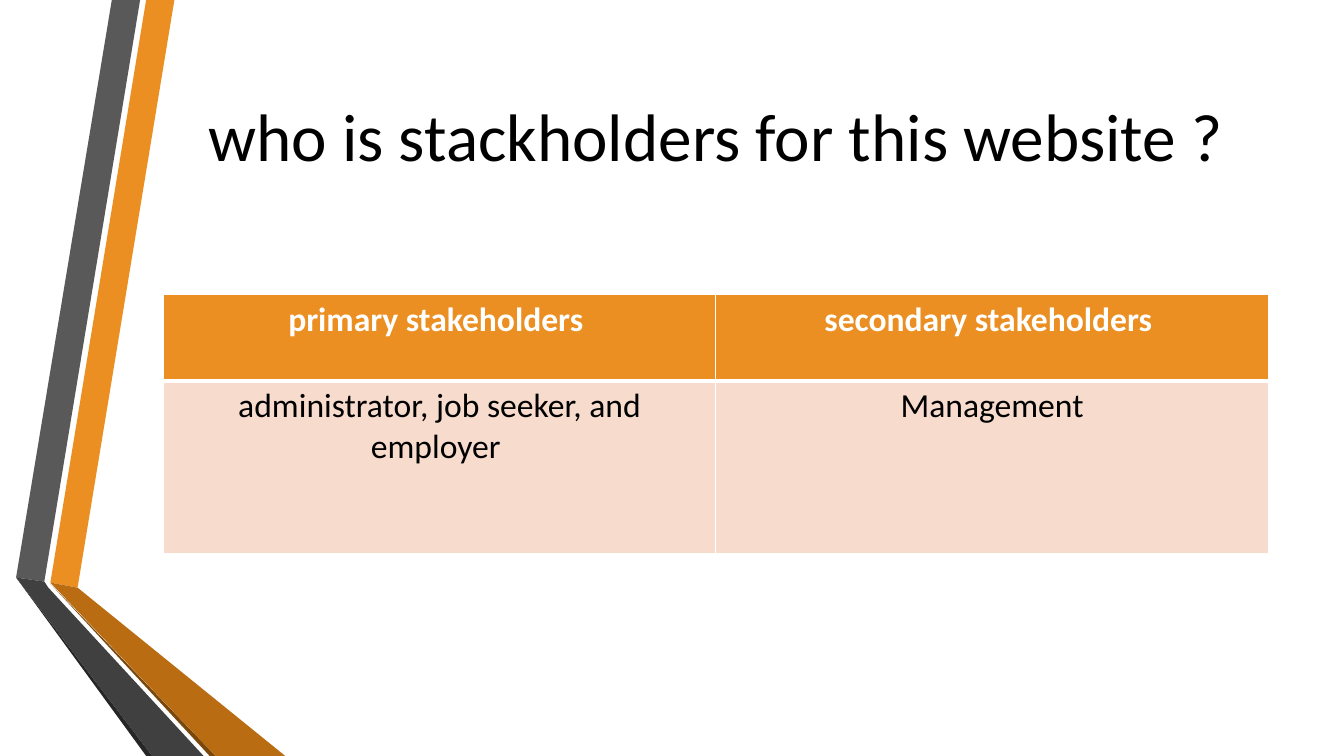
from lxml.etree import SubElement
from pptx import Presentation
from pptx.dml.color import RGBColor
from pptx.enum.text import MSO_ANCHOR, PP_ALIGN
from pptx.oxml.ns import qn
from pptx.util import Inches, Pt

FONT = "Calibri"
ORANGE = "EB8F22"
PEACH = "F7DBCD"
WHITE = "FFFFFF"
BLACK = "000000"

RIBBONS = [
    (ORANGE, [(0.5, 5.78), (0.77, 5.83), (1.73, 0), (1.45, 0)]),
    ("595959", [(1.39, 0), (1.11, 0), (0.16, 5.73), (0.44, 5.77)]),
    ("262626", [(0.16, 5.73), (1.45, 7.5), (1.51, 7.5)]),
    ("7B480B", [(0.5, 5.79), (2.08, 7.5), (2.14, 7.5)]),
    ("B96C11", [(0.5, 5.78), (2.14, 7.5), (2.83, 7.5), (0.77, 5.83)]),
    ("404040", [(0.16, 5.73), (1.51, 7.5), (2.02, 7.5), (0.48, 5.83), (0.44, 5.77)]),
]
ROWS = [
    ["primary stakeholders ", "secondary stakeholders "],
    ["administrator, job seeker, and employer ", " Management "],
]
ROW_HEIGHTS = [0.86, 1.71]


def paint(fill, color):
    """Give a fill one solid colour."""
    fill.solid()
    fill.fore_color.rgb = RGBColor.from_string(color)


def write_text(frame, text, size=24, color=BLACK, bold=False):
    """Write one centred paragraph into a text frame."""
    frame.word_wrap = True
    paragraph = frame.paragraphs[0]
    paragraph.alignment = PP_ALIGN.CENTER
    run = paragraph.add_run()
    run.text = text
    run.font.name = FONT
    run.font.size = Pt(size)
    run.font.bold = bold
    run.font.color.rgb = RGBColor.from_string(color)


def add_ribbon(slide, color, points):
    """Draw one closed polygon of the folded ribbons."""
    corners = [(Inches(x), Inches(y)) for x, y in points]
    builder = slide.shapes.build_freeform(*corners[0])
    builder.add_line_segments(corners[1:], close=True)
    shape = builder.convert_to_shape()
    shape.shadow.inherit = False
    paint(shape.fill, color)
    shape.line.fill.background()


def add_title(slide, text):
    """Add the large heading, raised above the middle of its box."""
    box = slide.shapes.add_textbox(Inches(1.62), Inches(0.75), Inches(10.96), Inches(1.92))
    box.text_frame.vertical_anchor = MSO_ANCHOR.MIDDLE
    box.text_frame.margin_bottom = Inches(0.79)
    write_text(box.text_frame, text, size=48)


def set_borders(cell, **widths):
    """Draw white cell borders, given in points by side."""
    properties = cell._tc.get_or_add_tcPr()
    for side in "LRTB":
        line = SubElement(properties, qn(f"a:ln{side}"), w=str(Pt(widths.get(side, 1))))
        SubElement(SubElement(line, qn("a:solidFill")), qn("a:srgbClr"), val=WHITE)


def add_stakeholder_table(slide):
    """Add the table with its header and body rows."""
    frame = slide.shapes.add_table(
        2, 2, Inches(1.62), Inches(2.92), Inches(10.96), Inches(sum(ROW_HEIGHTS))
    )
    table = frame.table
    table.horz_banding = False
    for index, texts in enumerate(ROWS):
        table.rows[index].height = Inches(ROW_HEIGHTS[index])
        header = index == 0
        for column, text in enumerate(texts):
            cell = table.cell(index, column)
            set_borders(cell, **{"B" if header else "T": 3})
            paint(cell.fill, ORANGE if header else PEACH)
            write_text(cell.text_frame, text, color=WHITE if header else BLACK, bold=header)


def main():
    """Build the stakeholder slide and save it."""
    presentation = Presentation()
    presentation.slide_width = Inches(13.33)
    presentation.slide_height = Inches(7.5)
    slide = presentation.slides.add_slide(presentation.slide_layouts[6])
    paint(slide.background.fill, WHITE)
    for color, points in RIBBONS:
        add_ribbon(slide, color, points)
    add_title(slide, "who is stackholders for this website ?")
    add_stakeholder_table(slide)
    presentation.save("out.pptx")


if __name__ == "__main__":
    main()
